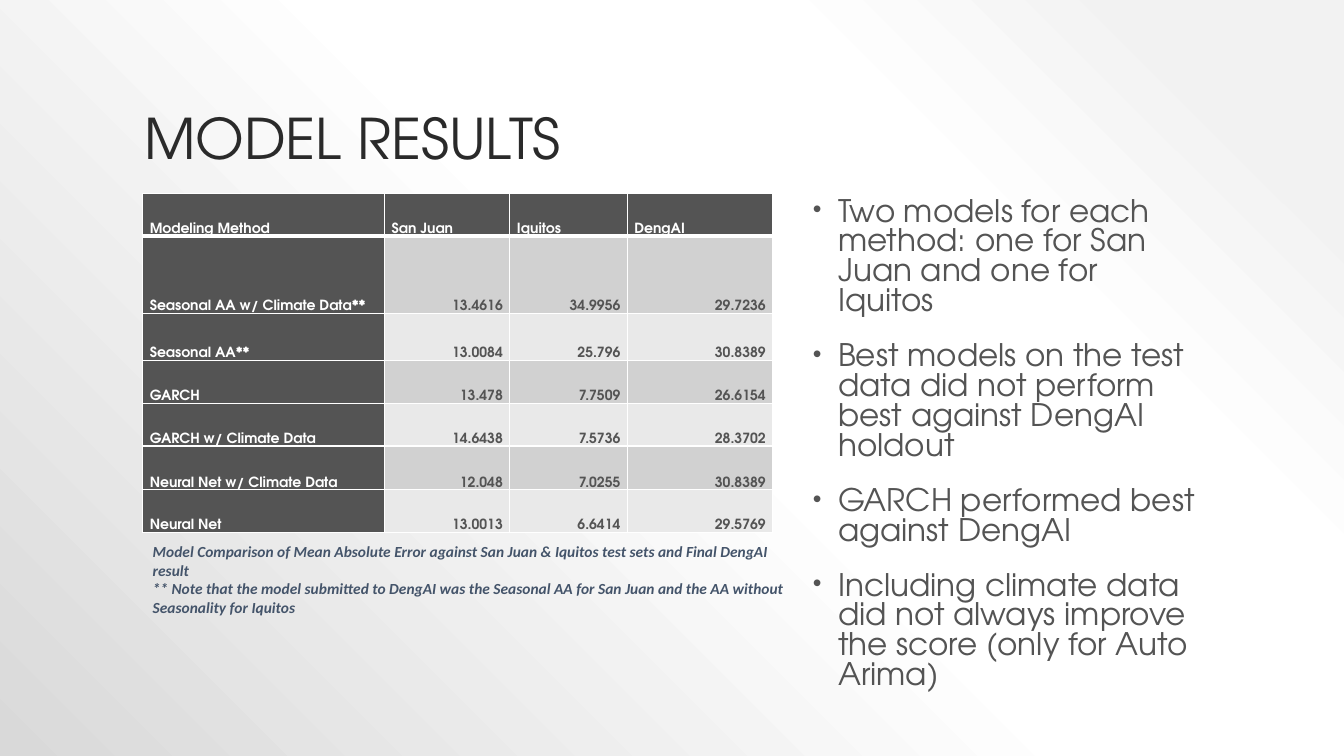
from lxml import etree
from pptx import Presentation
from pptx import util as u
from pptx.dml.color import RGBColor
from pptx.enum import text
from pptx.oxml import ns

INK = RGBColor(0x2A, 0x2A, 0x2A)
GREY = RGBColor(0x54, 0x54, 0x54)
BAND_DARK = RGBColor(0xD1, 0xD1, 0xD1)
BAND_LIGHT = RGBColor(0xE9, 0xE9, 0xE9)
SLATE = RGBColor(0x44, 0x54, 0x6A)
WHITE = RGBColor(0xFF, 0xFF, 0xFF)
GLOW = [(10, "F2F2F2"), (28, "FFFFFF"), (48, "FFFFFF"), (100, "D9D9D9")]
COLS, ROWS = 160, 90

RESULTS = [
    ("Modeling Method", "San Juan", "Iquitos", "DengAI"),
    ("Seasonal AA w/ Climate Data**", "13.4616", "34.9956", "29.7236"),
    ("Seasonal AA**", "13.0084", "25.796", "30.8389"),
    ("GARCH", "13.478", "7.7509", "26.6154"),
    ("GARCH w/ Climate Data", "14.6438", "7.5736", "28.3702"),
    ("Neural Net w/ Climate Data", "12.048", "7.0255", "30.8389"),
    ("Neural Net", "13.0013", "6.6414", "29.5769"),
]
FINDINGS = [
    "Two models for each method: one for San Juan and one for Iquitos",
    "Best models on the test data did not perform best against DengAI holdout",
    "GARCH performed best against DengAI",
    "Including climate data did not always improve the score (only for Auto Arima)",
]
NOTES = [
    "Model Comparison of Mean Absolute Error against San Juan & Iquitos test sets"
    " and Final DengAI result",
    "** Note that the model submitted to DengAI was the Seasonal AA for San Juan"
    " and the AA without Seasonality for Iquitos",
]


def child(parent, tag, **attrs):
    """Append a DrawingML element with the given attributes."""
    el = etree.SubElement(parent, ns.qn("a:" + tag))
    for name, value in attrs.items():
        el.set(name, str(value))
    return el


def write(p, words, size=10, color=GREY, font="TeX Gyre Adventor", bold=False,
          italic=False, align=text.PP_ALIGN.LEFT, spacing=None, before=0):
    """Put one formatted run into a paragraph."""
    p.alignment = align
    p.line_spacing = spacing
    p.space_before = u.Pt(before)
    r = p.add_run()
    r.text = words
    r.font.name, r.font.size = font, u.Pt(size)
    r.font.bold, r.font.italic = bold, italic
    r.font.color.rgb = color


def bullet(p):
    """Give a paragraph a hanging round bullet."""
    pPr = p._p.get_or_add_pPr()
    pPr.set("marL", str(u.Inches(0.3)))
    pPr.set("indent", str(u.Inches(-0.25)))
    child(child(pPr, "buClr"), "srgbClr", val=GREY)
    child(pPr, "buSzPct", val=80000)
    child(pPr, "buFont", typeface="Arial")
    child(pPr, "buChar", char="•")


def borders(cell, **widths):
    """Draw white lines of the given point widths round a cell."""
    tcPr = cell._tc.get_or_add_tcPr()
    for side in "LRTB":
        ln = child(tcPr, "ln" + side, w=u.Pt(widths.get(side, 1)))
        child(child(ln, "solidFill"), "srgbClr", val=WHITE)


class Deck:
    """Holds the presentation, its current slide and its grid."""

    def __init__(self):
        """Open a wide presentation with one blank slide."""
        self.prs = Presentation()
        self.prs.slide_width, self.prs.slide_height = u.Inches(13.33), u.Inches(7.5)
        self.s = self.prs.slides.add_slide(self.prs.slide_layouts[6])

    def x(self, cols):
        """Turn grid columns into a length."""
        return round(self.prs.slide_width * cols / COLS)

    def y(self, rows):
        """Turn grid rows into a length."""
        return round(self.prs.slide_height * rows / ROWS)

    def backdrop(self, stops):
        """Fill the background with a glow from the top right corner."""
        self.s.background.fill.gradient()
        grad = self.s.element.find(".//" + ns.qn("a:gradFill"))
        for el in list(grad):
            grad.remove(el)
        gsLst = child(grad, "gsLst")
        for pos, color in stops:
            child(child(gsLst, "gs", pos=pos * 1000), "srgbClr", val=color)
        child(child(grad, "path", path="circle"), "fillToRect", l=100000, b=100000)

    def textbox(self, col, row, width, height, lines, bullets=False,
                anchor=text.MSO_ANCHOR.TOP, fit=text.MSO_AUTO_SIZE.NONE, **style):
        """Add a wrapped text box with one paragraph per line."""
        sp = self.s.shapes.add_textbox(self.x(col), self.y(row), self.x(width), self.y(height))
        tf = sp.text_frame
        tf.word_wrap, tf.auto_size, tf.vertical_anchor = True, fit, anchor
        for i, line in enumerate(lines):
            p = tf.add_paragraph() if i else tf.paragraphs[0]
            write(p, line, **style)
            if bullets:
                bullet(p)

    def table(self, col, row, widths, heights, data):
        """Add a banded table with a dark header row and first column."""
        gf = self.s.shapes.add_table(len(data), len(widths), self.x(col), self.y(row),
                                     self.x(sum(widths)), self.y(sum(heights)))
        tbl = gf.table
        for column, width in zip(tbl.columns, widths):
            column.width = self.x(width)
        for line, height in zip(tbl.rows, heights):
            line.height = self.y(height)
        for i, values in enumerate(data):
            for j, value in enumerate(values):
                self.cell(tbl.cell(i, j), value, i, j)

    def cell(self, cell, value, i, j):
        """Fill and format one table cell."""
        dark = i == 0 or j == 0
        borders(cell, T=3 if i == 1 else 1, B=3 if i == 0 else 1)
        cell.fill.solid()
        cell.fill.fore_color.rgb = GREY if dark else BAND_DARK if i % 2 else BAND_LIGHT
        cell.vertical_anchor = text.MSO_ANCHOR.BOTTOM
        cell.margin_left = cell.margin_right = u.Inches(0.07)
        cell.margin_top = cell.margin_bottom = 0
        write(cell.text_frame.paragraphs[0], value, bold=True, spacing=1.07,
              color=WHITE if dark else GREY,
              align=text.PP_ALIGN.LEFT if dark else text.PP_ALIGN.RIGHT)


def main():
    """Build and save the model results slide."""
    deck = Deck()
    deck.backdrop(GLOW)
    deck.textbox(16, 3.6, 128, 17.4, ["MODEL RESULTS"], anchor=text.MSO_ANCHOR.BOTTOM,
                 size=40, color=INK, spacing=0.9)
    deck.textbox(95, 23, 49, 64, FINDINGS, bullets=True, size=22.2, spacing=0.8, before=18)
    deck.table(17, 23, [28.8, 14.9, 14, 17.3], [5.1, 9.2, 5.6, 5.1, 5.1, 5.2, 5.1], RESULTS)
    deck.textbox(17, 64, 80, 10.4, NOTES, fit=text.MSO_AUTO_SIZE.SHAPE_TO_FIT_TEXT,
                 size=11, color=SLATE, font="Calibri", bold=True, italic=True)
    deck.prs.save("out.pptx")


if __name__ == "__main__":
    main()
